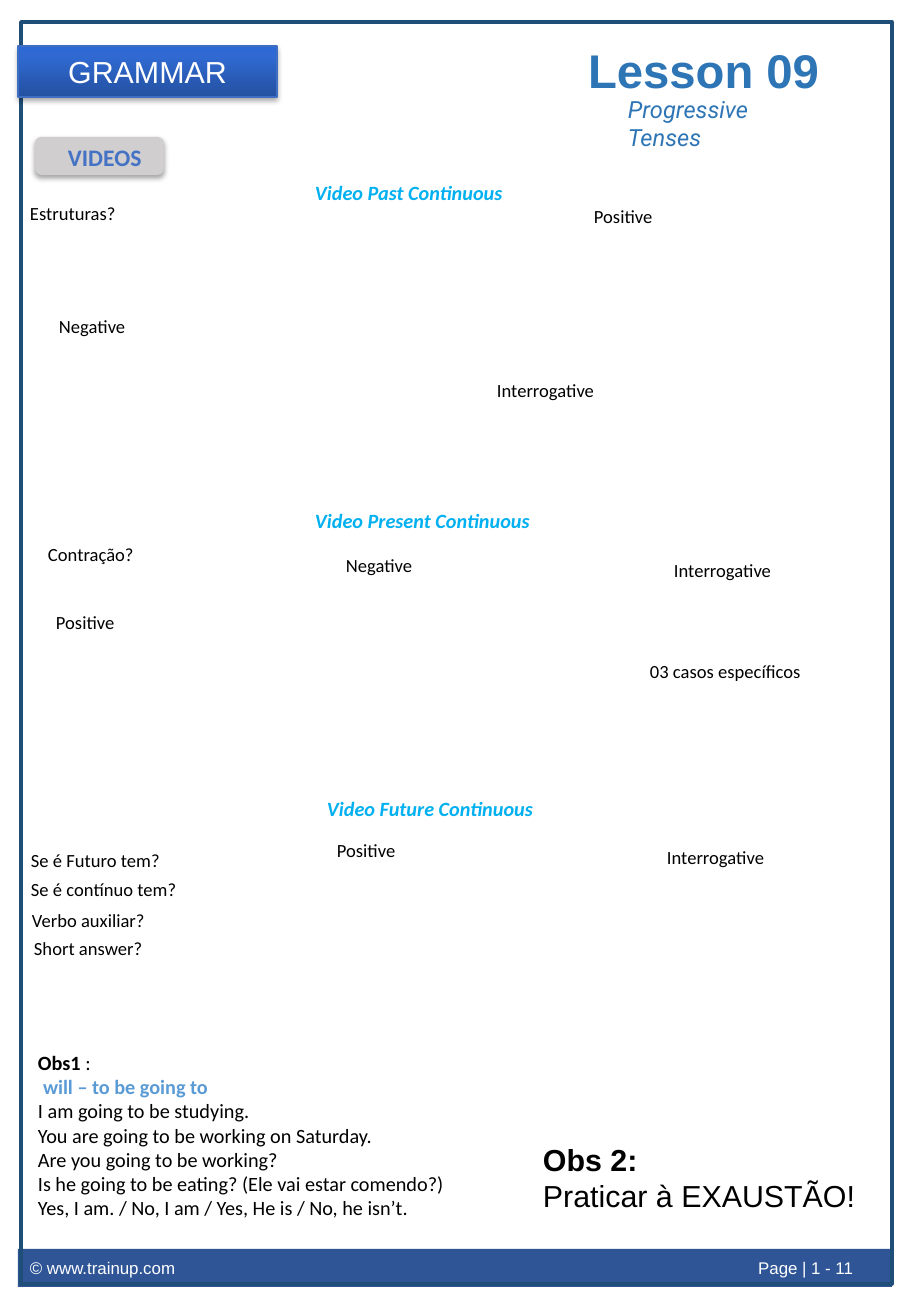
import copy

import lxml.etree
import pptx
import pptx.dml.color
import pptx.enum.shapes
import pptx.enum.text
import pptx.oxml.ns
import pptx.util

PX = 7526
COLORS = {
    "white": "FFFFFF", "black": "000000", "footer": "2F5597", "frame": "1F4E79",
    "lesson": "2E75B6", "video": "00B0F0", "tag": "D0CECE", "tag text": "4472C4",
    "highlight": "5B9BD5", "banner line": "3F6FC3", "banner dark": "2451A1",
    "banner middle": "2F69D1", "banner light": "2C69D5",
}
qn = pptx.oxml.ns.qn
SHAPES = pptx.enum.shapes.MSO_SHAPE
ALIGN = pptx.enum.text.PP_ALIGN
ANCHOR = pptx.enum.text.MSO_ANCHOR


def rgb(name):
    return pptx.dml.color.RGBColor.from_string(COLORS[name])


def add_run(paragraph, text, size, color, font="Calibri", bold=False, italic=False):
    run = paragraph.add_run()
    run.text = text
    run.font.size = pptx.util.Pt(size)
    run.font.name = font
    run.font.bold = bold
    run.font.italic = italic
    run.font.color.rgb = rgb(color)


presentation = pptx.Presentation()
presentation.slide_width = 911 * PX
presentation.slide_height = 1316 * PX
slide = presentation.slides.add_slide(presentation.slide_layouts[5])

# Footer, page frame, banner and tag
blocks = {}
for name, kind, left, top, width, height in [
    ("footer", SHAPES.RECTANGLE, 18, 1249, 874, 38),
    ("frame", SHAPES.RECTANGLE, 21, 22, 871, 1262),
    ("banner", SHAPES.ROUNDED_RECTANGLE, 18, 46, 259, 51),
    ("tag", SHAPES.ROUNDED_RECTANGLE, 35, 137, 129, 38),
]:
    shape = slide.shapes.add_shape(kind, left * PX, top * PX, width * PX, height * PX)
    shape.shadow.inherit = False
    shape.text_frame.vertical_anchor = ANCHOR.MIDDLE
    blocks[name] = shape

for name in ("footer", "tag"):
    blocks[name].fill.solid()
    blocks[name].fill.fore_color.rgb = rgb(name)
    blocks[name].line.fill.background()

blocks["frame"].fill.background()
blocks["frame"].line.color.rgb = rgb("frame")
blocks["frame"].line.width = pptx.util.Pt(2)

banner = blocks["banner"]
banner.adjustments[0] = 0
banner.line.color.rgb = rgb("banner line")
banner.line.width = pptx.util.Pt(0.75)
banner.fill.gradient()
banner.fill.gradient_angle = 90
stop_list = banner._element.spPr.find(".//" + qn("a:gsLst"))
stop_list.append(copy.deepcopy(stop_list[0]))
stops = [(0, "banner dark"), (0.8, "banner middle"), (1, "banner light")]
for stop, (position, color) in zip(banner.fill.gradient_stops, stops):
    stop.position = position
    stop.color.rgb = rgb(color)

for name in ("banner", "tag"):
    effects = blocks[name]._element.spPr.find(qn("a:effectLst"))
    shadow = lxml.etree.SubElement(
        effects, qn("a:outerShdw"), blurRad="39370", dist="22860",
        dir="5400000", rotWithShape="0")
    shadow_color = lxml.etree.SubElement(shadow, qn("a:srgbClr"), val=COLORS["black"])
    lxml.etree.SubElement(shadow_color, qn("a:alpha"), val="35000")

paragraph = banner.text_frame.paragraphs[0]
paragraph.alignment = ALIGN.CENTER
add_run(paragraph, "GRAMMAR", 18, "white", "Arial")

paragraph = blocks["footer"].text_frame.paragraphs[0]
paragraph.alignment = ALIGN.LEFT
tabs = lxml.etree.SubElement(paragraph._p.get_or_add_pPr(), qn("a:tabLst"))
lxml.etree.SubElement(tabs, qn("a:tab"), pos=str(823 * PX), algn="r")
add_run(paragraph, "© www.trainup.com\tPage | 1 - 11", 10, "white", "Arial")

# Lesson title
title = slide.shapes.title
title.left, title.top, title.width, title.height = 576 * PX, 35 * PX, 262 * PX, 69 * PX
title.text_frame.auto_size = pptx.enum.text.MSO_AUTO_SIZE.NONE
title.text_frame.vertical_anchor = ANCHOR.TOP
paragraph = title.text_frame.paragraphs[0]
paragraph.alignment = ALIGN.LEFT
add_run(paragraph, "Lesson 09", 28, "lesson", "Arial", bold=True)

# Text boxes: place and width, then paragraphs made of runs
label = {"size": 11, "color": "black"}
heading = {"size": 12, "color": "video", "bold": True, "italic": True}
note = {"size": 12, "color": "black"}
remark = {"size": 18, "color": "black", "font": "Arial"}

boxes = [
    (56, 135, 104, 41, [[("VIDEOS", {"size": 14, "color": "tag text", "bold": True})]]),
    (616, 89, 213, 41, [[("Progressive Tenses", {
        "size": 14, "color": "lesson", "font": "Roboto", "italic": True})]]),
    (531, 1135, 346, 86, [
        [("Obs 2:", {**remark, "bold": True})],
        [("Praticar à EXAUSTÃO!", remark)],
    ]),
    (26, 1044, 496, 183, [
        [("Obs1 ", {**note, "bold": True}), (":", note)],
        [("will – to be going to", {"size": 12, "color": "highlight", "bold": True})],
        [("I am going to be studying.", note)],
        [("You are going to be working on Saturday.", note)],
        [("Are you going to be working?", note)],
        [("Is he going to be eating? (Ele vai estar comendo?)", note)],
        [("Yes, I am. / No, I am / Yes, He is / No, he isn’t.", note)],
    ]),
]
for left, top, text in [
    (303, 174, "Video Past Continuous"),
    (303, 502, "Video Present Continuous"),
    (315, 790, "Video Future Continuous"),
]:
    boxes.append((left, top, 313, 36, [[(text, heading)]]))
for left, top, width, text in [
    (18, 196, 131, "Estruturas?"),
    (582, 199, 131, "Positive"),
    (47, 309, 131, "Negative"),
    (485, 373, 131, "Interrogative"),
    (36, 537, 131, "Contração?"),
    (44, 605, 131, "Positive"),
    (334, 548, 131, "Negative"),
    (662, 553, 131, "Interrogative"),
    (638, 654, 182, "03 casos específicos"),
    (19, 843, 182, "Se é Futuro tem?"),
    (19, 872, 182, "Se é contínuo tem?"),
    (20, 903, 182, "Verbo auxiliar?"),
    (22, 931, 182, "Short answer?"),
    (325, 833, 131, "Positive"),
    (655, 840, 131, "Interrogative"),
]:
    boxes.append((left, top, width, 35, [[(text, label)]]))

for left, top, width, height, paragraphs in boxes:
    text_frame = slide.shapes.add_textbox(
        left * PX, top * PX, width * PX, height * PX).text_frame
    text_frame.word_wrap = True
    for index, runs in enumerate(paragraphs):
        paragraph = text_frame.add_paragraph() if index else text_frame.paragraphs[0]
        for text, style in runs:
            if style["color"] == "highlight":
                paragraph._p.get_or_add_pPr().set("marL", str(5 * PX))
            if style["color"] == "tag text":
                paragraph.line_spacing = 1.07
            add_run(paragraph, text, **style)

presentation.save("out.pptx")
